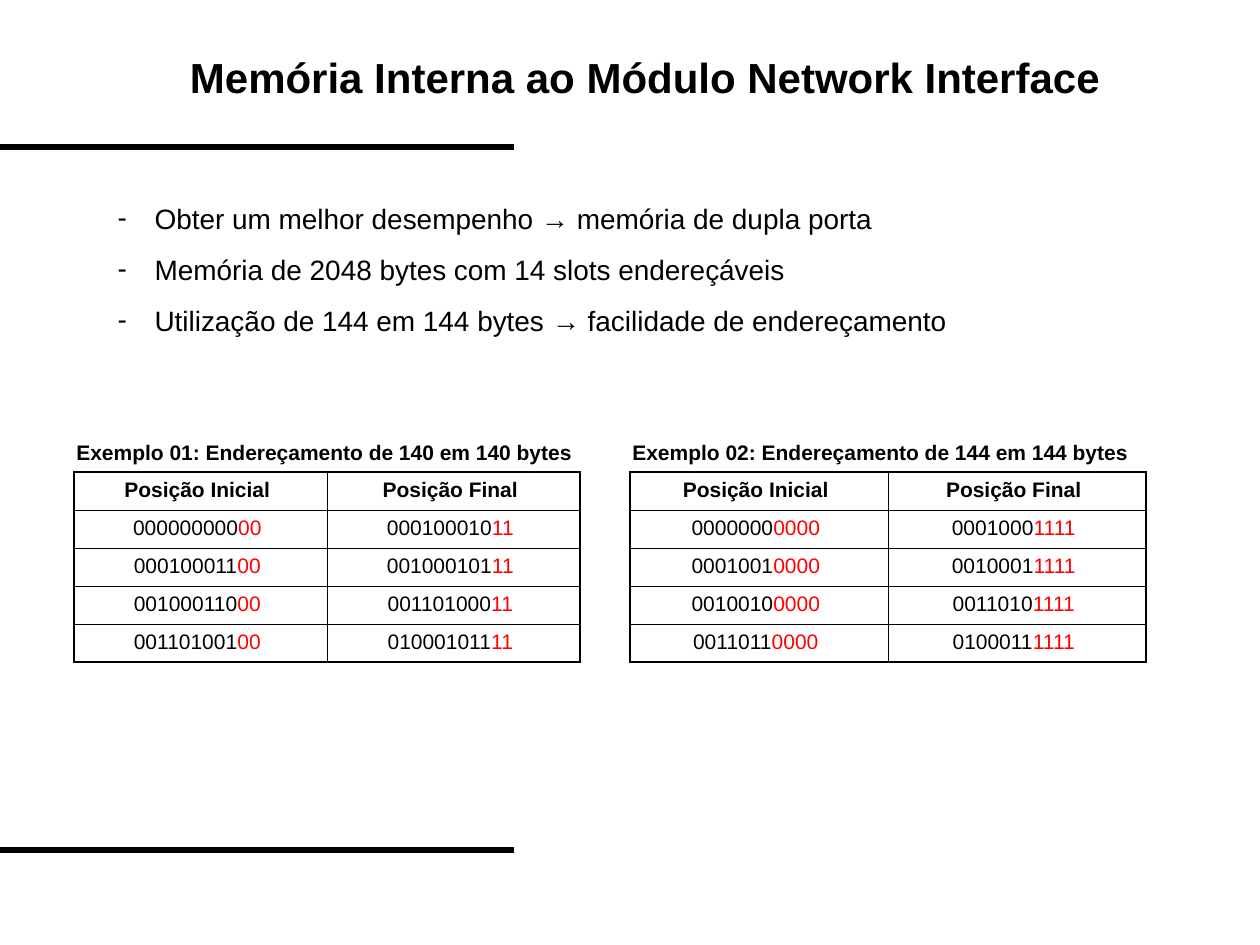
from lxml import etree
from pptx import Presentation
from pptx import util as u
from pptx.dml.color import RGBColor
from pptx.enum import shapes, text
from pptx.oxml.ns import qn

SCALE = 914400 / 126
ALIGN = text.PP_ALIGN


def px(n):
    return u.Emu(round(n * SCALE))


def color(code):
    return RGBColor.from_string(code)


def write(para, words, size=12, bold=False, ink="000000", font="Arial"):
    run = para.add_run()
    run.text = words
    run.font.size = u.Pt(size)
    run.font.bold = bold
    run.font.name = font
    run.font.color.rgb = color(ink)


class Page:
    ink = "000000"
    mark = "FF0000"
    thick = 1.08
    thin = 0.45

    def __init__(self, deck):
        self.slide = deck.slides.add_slide(deck.slide_layouts[1])
        self.shapes = self.slide.shapes

    def frame(self, shape, box, anchor):
        shape.left, shape.top, shape.width, shape.height = map(px, box)
        body = shape.text_frame
        body.word_wrap = True
        body.auto_size = text.MSO_AUTO_SIZE.NONE
        body.vertical_anchor = anchor
        return body

    def rule(self, y, width):
        line = self.shapes.add_connector(
            shapes.MSO_CONNECTOR.STRAIGHT, px(width), px(y), 0, px(y))
        line.line.color.rgb = color(self.ink)
        line.line.width = u.Pt(3)
        etree.SubElement(line._element.spPr, qn("a:effectLst"))

    def title(self, words, box):
        body = self.frame(self.shapes.title, box, text.MSO_ANCHOR.TOP)
        para = body.paragraphs[0]
        para.alignment = ALIGN.CENTER
        write(para, words, size=24, bold=True)

    def bullets(self, items, box, indent=37):
        body = self.frame(self.slide.placeholders[1], box, text.MSO_ANCHOR.TOP)
        for i, item in enumerate(items):
            para = body.paragraphs[0] if i == 0 else body.add_paragraph()
            props = para._p.get_or_add_pPr()
            props.set("marL", str(px(indent)))
            props.set("indent", str(-px(indent)))
            etree.SubElement(props, qn("a:buChar")).set("char", "-")
            para.alignment = ALIGN.JUSTIFY
            para.space_before = u.Pt(10 if i else 0)
            # Arrows are bold, the words around them are not
            head, arrow, tail = item.partition("→")
            write(para, head, size=16)
            if arrow:
                write(para, arrow, size=16, bold=True)
                write(para, tail, size=16)

    def label(self, words, box):
        shape = self.shapes.add_textbox(0, 0, 0, 0)
        body = self.frame(shape, box, text.MSO_ANCHOR.MIDDLE)
        write(body.paragraphs[0], words, bold=True)

    def border(self, cell, widths):
        props = cell._tc.get_or_add_tcPr()
        for i, (side, width) in enumerate(zip("LRTB", widths)):
            line = etree.Element(qn(f"a:ln{side}"), w=str(u.Pt(width)))
            fill = etree.SubElement(line, qn("a:solidFill"))
            etree.SubElement(fill, qn("a:srgbClr")).set("val", self.ink)
            props.insert(i, line)

    def table(self, heads, rows, cut, left, top, wide, high=38):
        """Draw the addresses, with the digits from cut onwards in red."""
        grid = [heads] + rows
        last, end = len(grid) - 1, len(heads) - 1
        table = self.shapes.add_table(
            len(grid), len(heads), px(left), px(top),
            px(wide * len(heads)), px(high * len(grid))).table
        table.first_row = table.horz_banding = False
        for r, row in enumerate(grid):
            for c, words in enumerate(row):
                cell = table.cell(r, c)
                cell.fill.background()
                cell.margin_right = px(19)
                para = cell.text_frame.paragraphs[0]
                para.alignment = ALIGN.CENTER
                if r == 0:
                    write(para, words, bold=True)
                else:
                    write(para, words[:cut])
                    write(para, words[cut:], ink=self.mark)
                edges = (c == 0, c == end, r == 0, r == last)
                self.border(cell, [self.thick if e else self.thin for e in edges])


def main():
    deck = Presentation()
    deck.slide_width, deck.slide_height = px(1260), px(945)
    page = Page(deck)

    # Rules above and below the content
    for y in (147, 850):
        page.rule(y, 514)

    # Title and main points
    page.title("Memória Interna ao Módulo Network Interface", (74, 45, 1142, 63))
    page.bullets([
        "Obter um melhor desempenho → memória de dupla porta",
        "Memória de 2048 bytes com 14 slots endereçáveis",
        "Utilização de 144 em 144 bytes → facilidade de endereçamento",
    ], (105, 195, 1022, 149))

    # Address examples
    heads = ["Posição Inicial", "Posição Final"]
    page.label("Exemplo 01: Endereçamento de 140 em 140 bytes", (64, 433, 556, 38))
    page.table(heads, [
        ["00000000000", "00010001011"],
        ["00010001100", "00100010111"],
        ["00100011000", "00110100011"],
        ["00110100100", "01000101111"],
    ], cut=9, left=74, top=472, wide=253)
    page.label("Exemplo 02: Endereçamento de 144 em 144 bytes", (620, 433, 556, 38))
    page.table(heads, [
        ["00000000000", "00010001111"],
        ["00010010000", "00100011111"],
        ["00100100000", "00110101111"],
        ["00110110000", "01000111111"],
    ], cut=7, left=630, top=472, wide=258)

    deck.save("out.pptx")


if __name__ == "__main__":
    main()
